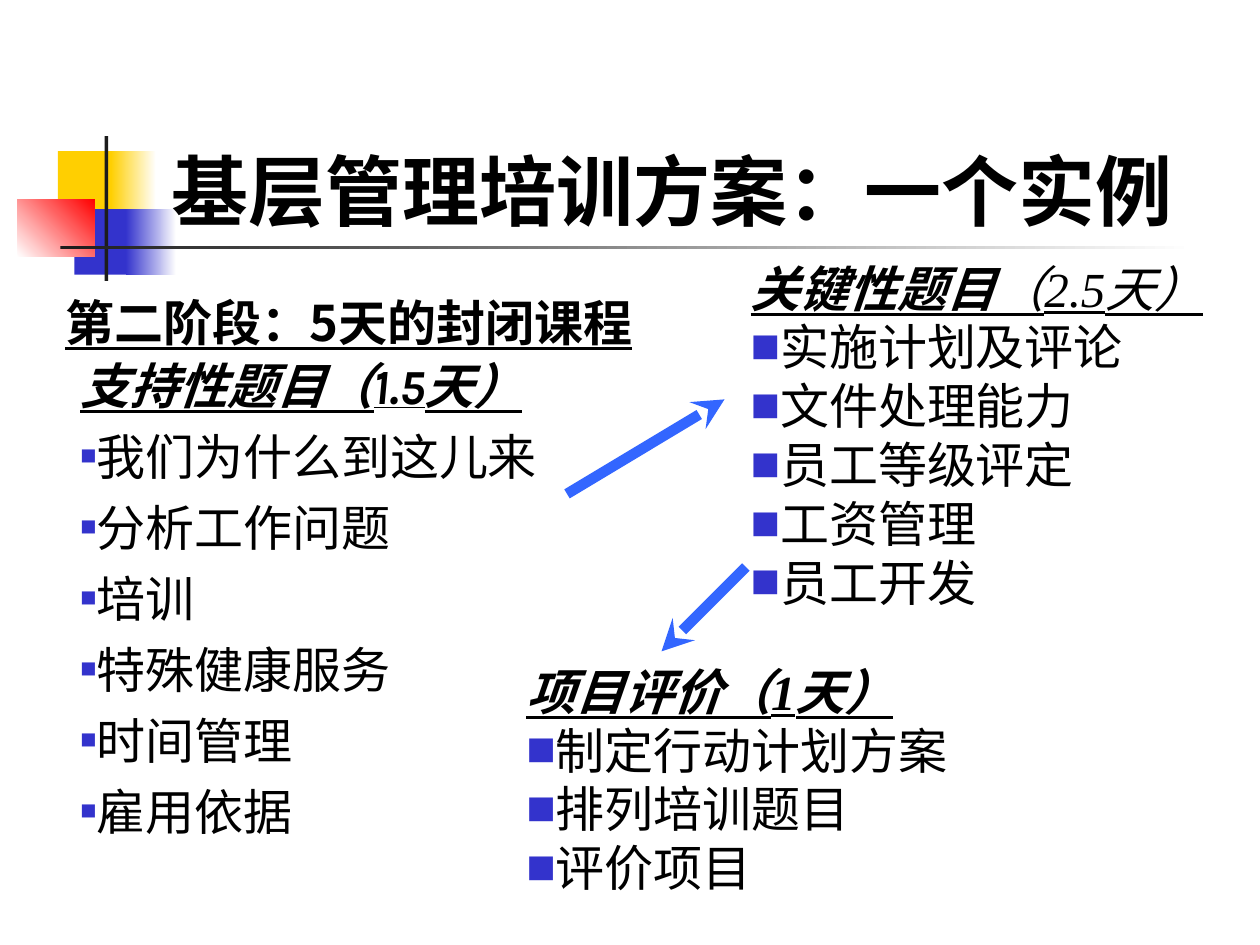
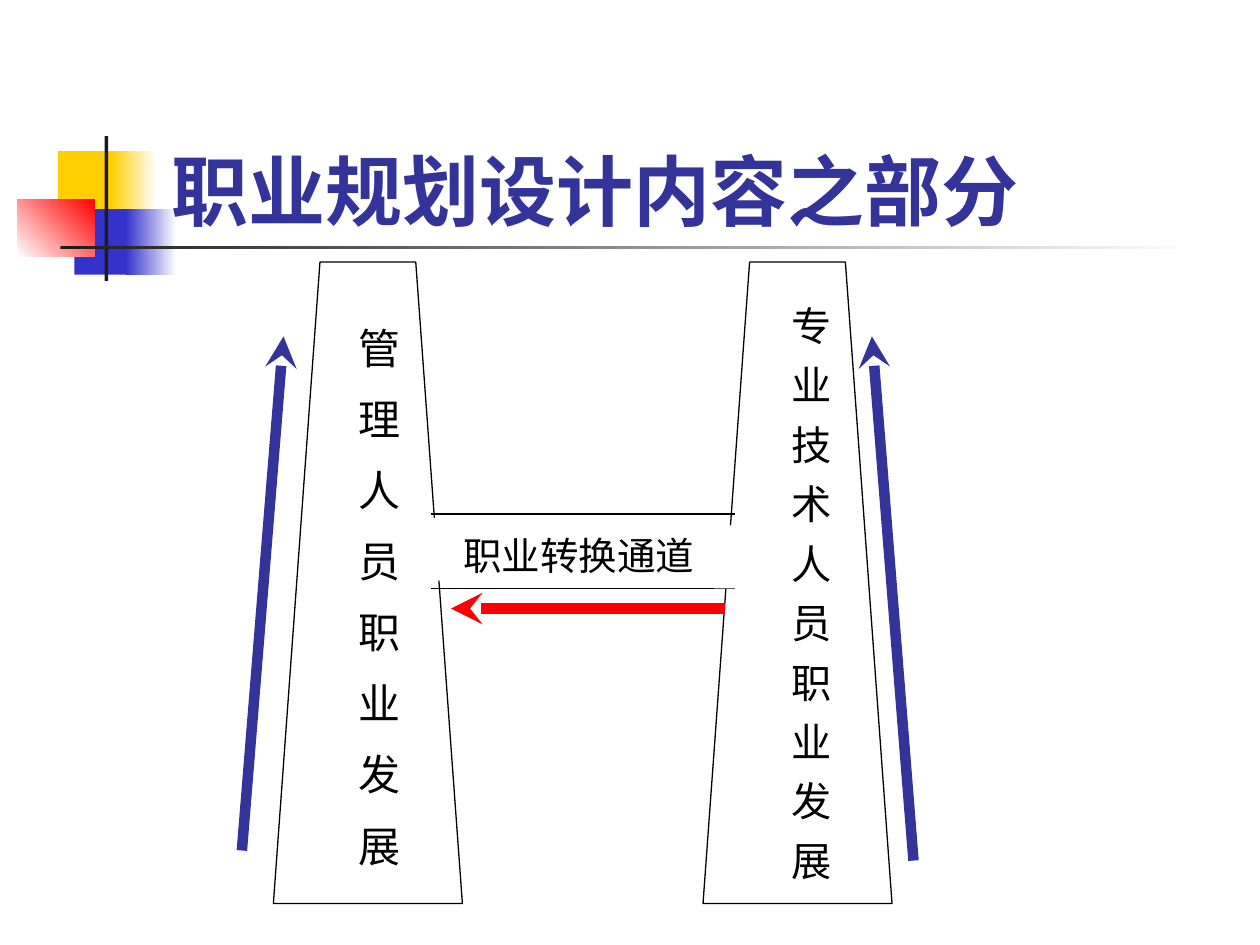
"""Build two training slides: a course outline and a career path diagram."""
from dataclasses import dataclass
from typing import Optional

from lxml.etree import SubElement
from pptx import Presentation
from pptx.dml.color import RGBColor
from pptx.enum.shapes import MSO_CONNECTOR, MSO_SHAPE
from pptx.enum.text import MSO_ANCHOR, PP_ALIGN
from pptx.oxml.ns import qn
from pptx.util import Emu, Pt

SCALE = 9144
BLACK, WHITE, INK = "000000", "FFFFFF", "1C1C1C"
YELLOW, BLUE, RED = "FFCF01", "3333CC", "FF0000"
NAVY, SKY = "333399", "3366FF"
SANS, SERIF, CHINESE = "Karla", "Times New Roman", "Noto Sans CJK SC"
LINE_HEIGHT = 1.2


@dataclass(frozen=True)
class Area:
    left: int
    top: int
    width: int
    height: int


@dataclass(frozen=True)
class Block:
    area: Area
    fill: str
    fade: Optional[str] = None
    angle: int = 0


@dataclass(frozen=True)
class Span:
    text: str
    bold: bool = False
    italic: bool = False
    underline: bool = False


@dataclass(frozen=True)
class Style:
    size: int
    font: str = SANS
    color: str = BLACK
    tracking: float = 0
    indent: int = 0
    space_before: int = 0
    bullet_percent: int = 100
    align: PP_ALIGN = PP_ALIGN.LEFT


@dataclass(frozen=True)
class TopicList:
    area: Area
    heading: tuple[Span, ...]
    topics: tuple[str, ...]
    style: Style


@dataclass(frozen=True)
class Line:
    start: tuple[int, int]
    end: tuple[int, int]
    color: str = BLACK
    weight: float = 0.75
    arrow: bool = False


@dataclass(frozen=True)
class Pillar:
    left: int
    label: str
    label_area: Area
    label_inset: int
    style: Style


DECORATION = (
    Block(Area(46, 120, 48, 52), YELLOW),
    Block(Area(88, 120, 36, 52), YELLOW, WHITE),
    Block(Area(59, 166, 46, 52), BLUE),
    Block(Area(100, 166, 40, 52), BLUE, WHITE),
    Block(Area(14, 158, 61, 46), WHITE, RED, 45),
    Block(Area(83, 108, 3, 115), INK),
    Block(Area(48, 195, 900, 3), INK, WHITE),
)
TITLE_AREA = Area(126, 67, 852, 125)

TOPIC_LISTS = (
    TopicList(
        Area(33, 277, 450, 398),
        (Span("支持性题目（1.5天）", True, True, True),),
        ("我们为什么到这儿来", "分析工作问题", "培训", "特殊健康服务", "时间管理", "雇用依据"),
        Style(28, indent=21, space_before=7, bullet_percent=55),
    ),
    TopicList(
        Area(586, 200, 381, 337),
        (Span("关键性题目", True, True, True), Span("（2.5天）", False, True, True)),
        ("实施计划及评论", "文件处理能力", "员工等级评定", "工资管理", "员工开发"),
        Style(28, SERIF),
    ),
    TopicList(
        Area(408, 520, 433, 197),
        (Span("项目评价（1天）", True, True, True),),
        ("制定行动计划方案", "排列培训题目", "评价项目"),
        Style(28, SERIF, align=PP_ALIGN.JUSTIFY),
    ),
)
COURSE_ARROWS = (
    Line((450, 392), (575, 317), SKY, 6, True),
    Line((592, 450), (525, 517), SKY, 6, True),
)

PILLARS = (
    Pillar(217, "管理人员职业发展", Area(265, 217, 60, 508), 43, Style(24, tracking=16.6)),
    Pillar(558, "专业技术人员职业发展", Area(609, 208, 58, 517), 35, Style(23, tracking=10.9)),
)
CHANNEL_EDGES = tuple(Line((342, y), (583, y)) for y in (408, 467))
CHANNEL_OPENINGS = (
    Block(Area(328, 411, 33, 50), WHITE),
    Block(Area(567, 417, 33, 50), WHITE),
)
CAREER_ARROWS = (
    Line((192, 675), (225, 267), NAVY, 6, True),
    Line((725, 683), (692, 267), NAVY, 6, True),
    Line((575, 483), (358, 483), RED, 6, True),
)


def px(length: int) -> Emu:
    """Turn a length in px into EMU."""
    return Emu(length * SCALE)


def rgb(value: str) -> RGBColor:
    """Turn a hex string into a colour."""
    return RGBColor.from_string(value)


def bounds(area: Area) -> tuple[Emu, ...]:
    """Give an area as left, top, width and height in EMU."""
    return px(area.left), px(area.top), px(area.width), px(area.height)


def draw_block(page, block: Block) -> None:
    """Draw a borderless rectangle, plain or fading."""
    box = page.shapes.add_shape(MSO_SHAPE.RECTANGLE, *bounds(block.area))
    box.shadow.inherit = False
    box.line.fill.background()
    if block.fade is None:
        box.fill.solid()
        box.fill.fore_color.rgb = rgb(block.fill)
        return
    box.fill.gradient()
    box.fill.gradient_angle = block.angle
    for stop, color, position in zip(box.fill.gradient_stops, (block.fill, block.fade), (0, 1)):
        stop.color.rgb = rgb(color)
        stop.position = position


def draw_line(page, line: Line) -> None:
    """Draw a straight line, with a stealth arrowhead if asked."""
    connector = page.shapes.add_connector(
        MSO_CONNECTOR.STRAIGHT, *map(px, line.start + line.end))
    connector.line.color.rgb = rgb(line.color)
    connector.line.width = Pt(line.weight)
    if line.arrow:
        SubElement(connector.line._get_or_add_ln(), qn("a:tailEnd"), type="stealth")
    SubElement(connector._element.spPr, qn("a:effectLst"))


def add_frame(page, area: Area):
    """Add a wrapping text box and give its text frame."""
    frame = page.shapes.add_textbox(*bounds(area)).text_frame
    frame.word_wrap = True
    return frame


def add_bullet(para, style: Style) -> None:
    """Give a paragraph a square blue bullet."""
    properties = para._p.get_or_add_pPr()
    color = SubElement(properties, qn("a:buClr"))
    SubElement(color, qn("a:srgbClr"), val=BLUE)
    SubElement(properties, qn("a:buSzPct"), val=str(style.bullet_percent * 1000))
    SubElement(properties, qn("a:buFont"), typeface=SERIF)
    SubElement(properties, qn("a:buChar"), char="■")


def write(para, spans: tuple[Span, ...], style: Style, bullet: bool = False) -> None:
    """Fill a paragraph with styled spans."""
    properties = para._p.get_or_add_pPr()
    properties.set("marL", str(px(style.indent)))
    properties.set("indent", "0")
    if bullet:
        add_bullet(para, style)
        para.space_before = Pt(style.space_before)
    para.alignment = style.align
    para.line_spacing = Pt(style.size * LINE_HEIGHT)
    for span in spans:
        run = para.add_run()
        run.text = span.text
        font = run.font
        font.size, font.name = Pt(style.size), style.font
        font.bold, font.italic, font.underline = span.bold, span.italic, span.underline
        font.color.rgb = rgb(style.color)
        run_properties = run._r.get_or_add_rPr()
        run_properties.set("lang", "zh-CN")
        if style.tracking:
            run_properties.set("spc", str(round(style.tracking * 100)))
        east_asian = SubElement(run_properties, qn("a:ea"), typeface=CHINESE)
        run_properties.find(qn("a:latin")).addnext(east_asian)


def draw_topic_list(page, topic_list: TopicList) -> None:
    """Write a heading with its bulleted topics."""
    frame = add_frame(page, topic_list.area)
    write(frame.paragraphs[0], topic_list.heading, topic_list.style)
    for topic in topic_list.topics:
        write(frame.add_paragraph(), (Span(topic),), topic_list.style, bullet=True)


def draw_pillar(page, pillar: Pillar) -> None:
    """Draw a tapering pillar with its vertical label."""
    top, bottom, width, taper = 208, 717, 150, 37
    left, right = pillar.left, pillar.left + width
    builder = page.shapes.build_freeform(left, bottom, scale=SCALE)
    builder.add_line_segments(
        [(left + taper, top), (right - taper, top), (right, bottom)], close=True)
    outline = builder.convert_to_shape()
    outline.shadow.inherit = False
    outline.fill.background()
    outline.line.color.rgb = rgb(BLACK)
    outline.line.width = Pt(0.75)
    frame = add_frame(page, pillar.label_area)
    frame._txBody.bodyPr.set("vert", "eaVert")
    frame.margin_left = frame.margin_right = px(5)
    frame.margin_top, frame.margin_bottom = px(pillar.label_inset), px(0)
    write(frame.paragraphs[0], (Span(pillar.label),), pillar.style)


def add_page(deck, title: str, color: str):
    """Add a page with the shared decoration and title."""
    page = deck.slides.add_slide(deck.slide_layouts[6])
    for block in DECORATION:
        draw_block(page, block)
    frame = add_frame(page, TITLE_AREA)
    frame.vertical_anchor = MSO_ANCHOR.BOTTOM
    write(frame.paragraphs[0], (Span(title, bold=True),), Style(44, color=color))
    return page


def build_course_page(deck) -> None:
    """Build the outline of the closed course."""
    page = add_page(deck, "基层管理培训方案：一个实例", BLACK)
    for topic_list in TOPIC_LISTS:
        draw_topic_list(page, topic_list)
    frame = add_frame(page, Area(42, 227, 525, 57))
    stage = Span("第二阶段：5天的封闭课程", bold=True, underline=True)
    write(frame.paragraphs[0], (stage,), Style(28, CHINESE))
    for arrow in COURSE_ARROWS:
        draw_line(page, arrow)


def build_career_page(deck) -> None:
    """Build the diagram of two career pillars and their channel."""
    page = add_page(deck, "职业规划设计内容之部分", NAVY)
    for pillar in PILLARS:
        draw_pillar(page, pillar)
    for edge in CHANNEL_EDGES:
        draw_line(page, edge)
    for opening in CHANNEL_OPENINGS:
        draw_block(page, opening)
    frame = add_frame(page, Area(358, 417, 208, 47))
    write(frame.paragraphs[0], (Span("职业转换通道"),), Style(22))
    for arrow in CAREER_ARROWS:
        draw_line(page, arrow)


def main() -> None:
    """Build and save the deck."""
    deck = Presentation()
    deck.slide_width, deck.slide_height = px(1000), px(750)
    build_course_page(deck)
    build_career_page(deck)
    deck.save("out.pptx")


if __name__ == "__main__":
    main()
